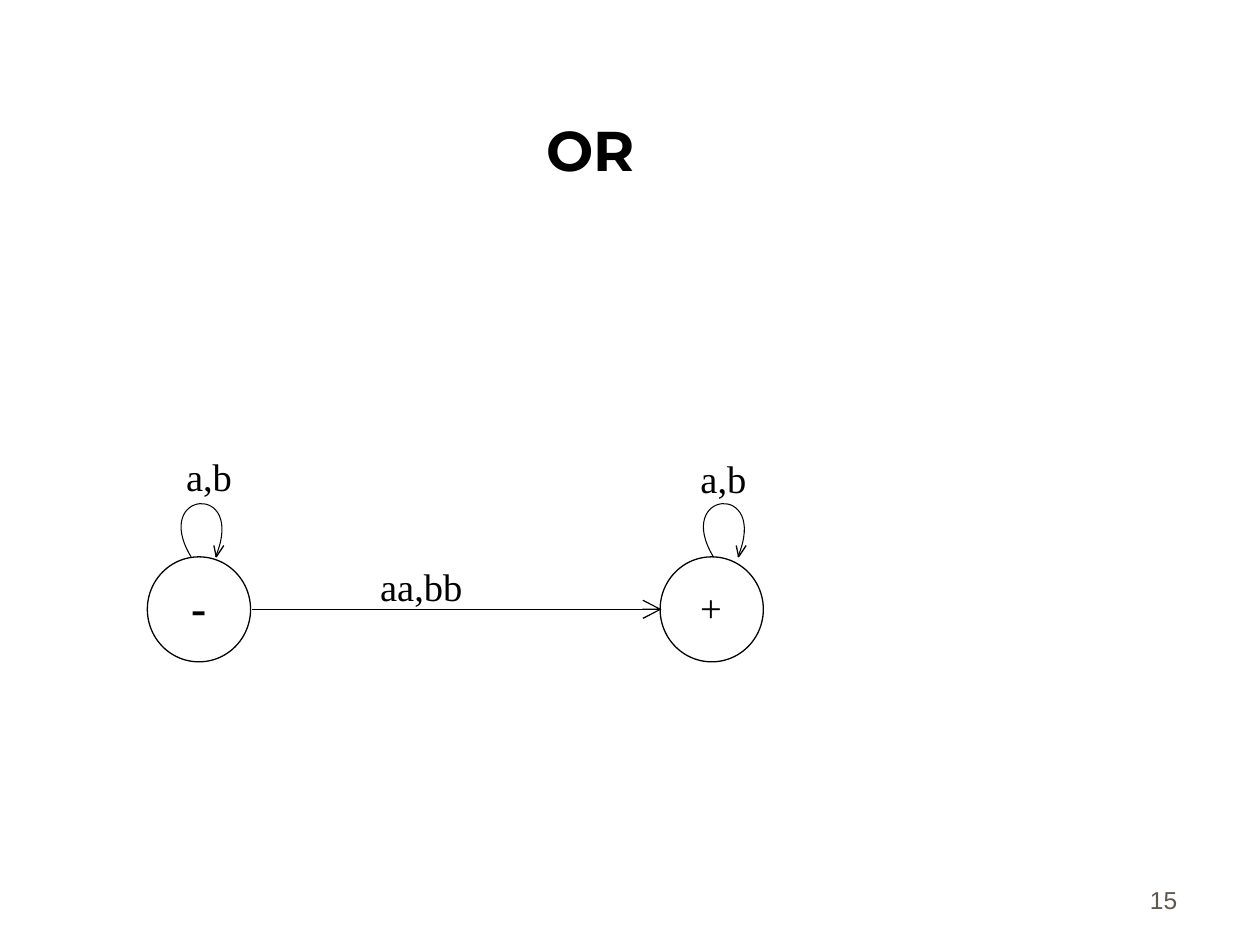
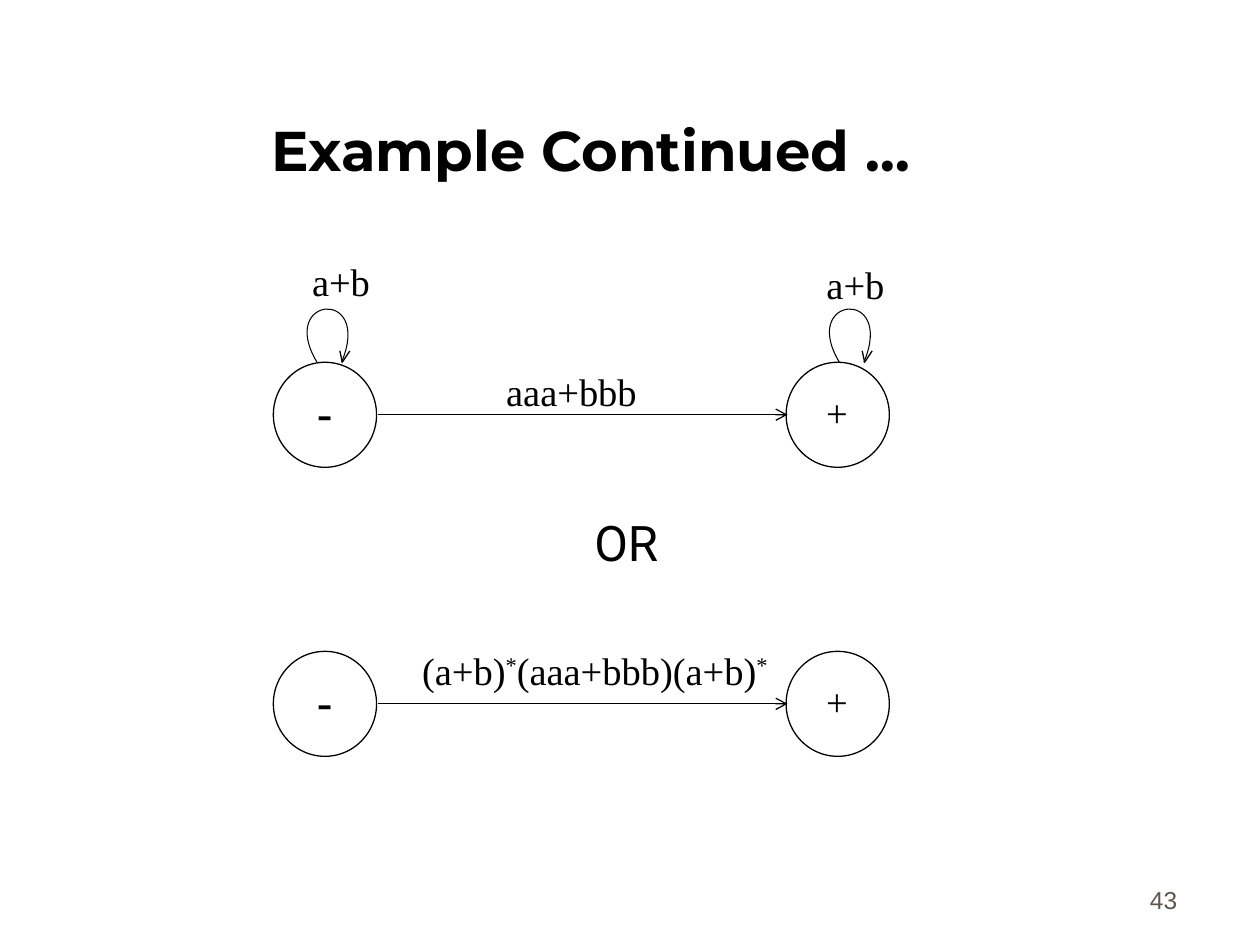
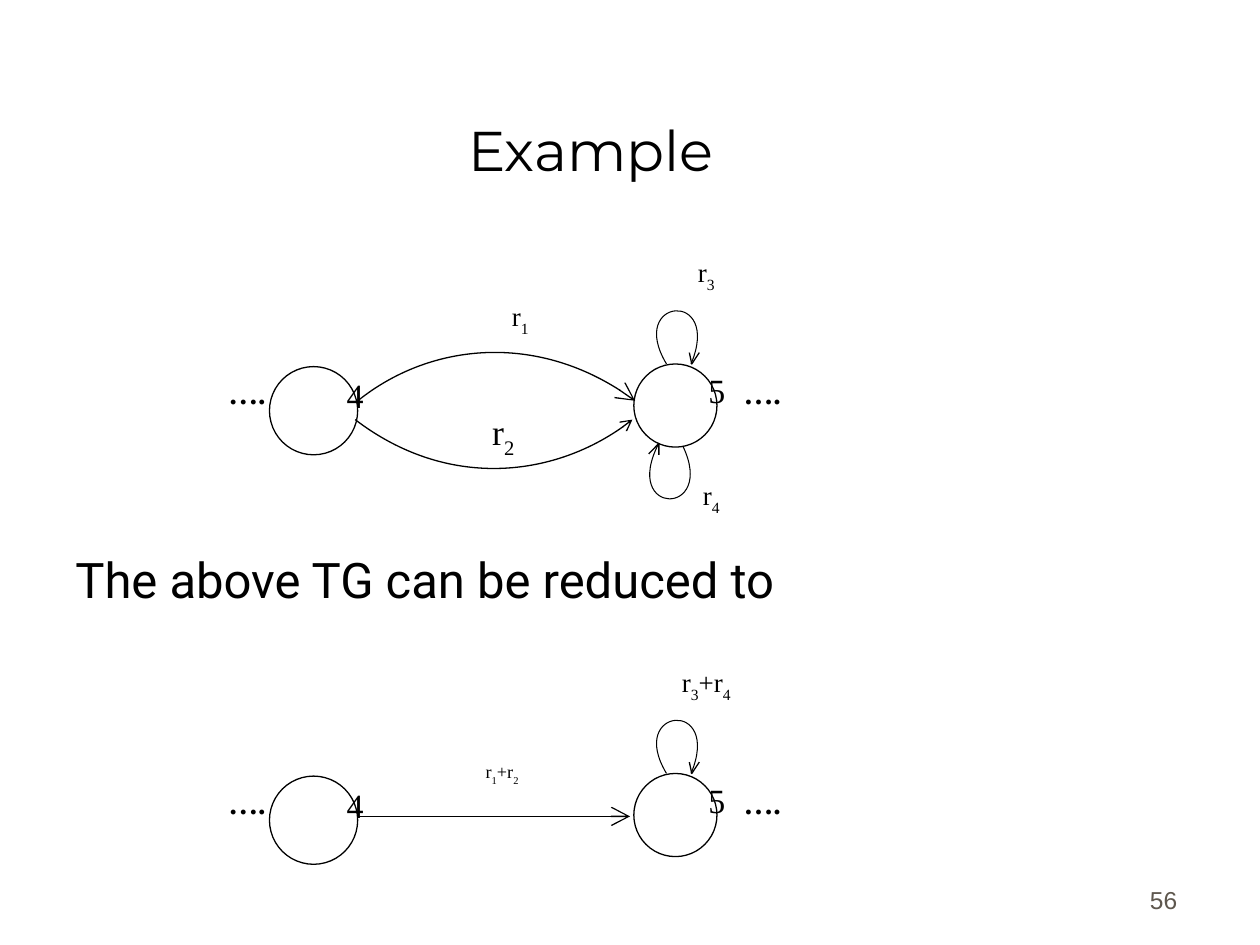
from dataclasses import dataclass
from typing import NamedTuple

from lxml.etree import SubElement
from pptx import Presentation
from pptx.dml.color import RGBColor
from pptx.enum.shapes import MSO_CONNECTOR, MSO_SHAPE
from pptx.enum.text import MSO_ANCHOR as Anchor, PP_ALIGN as Align
from pptx.oxml.ns import qn
from pptx.slide import Slide
from pptx.util import Pt

BLACK = RGBColor(0x00, 0x00, 0x00)
WHITE = RGBColor(0xFF, 0xFF, 0xFF)
PAGE_GREY = RGBColor(0x5E, 0x57, 0x4E)
SERIF, HEADING, BODY, PAGE = "Times New Roman", "Montserrat", "Roboto", "Arial"
SUPER, SUB = 30000, -30000


class Point(NamedTuple):
    x: float
    y: float

    def shifted(self, dx: float, dy: float) -> "Point":
        return Point(self.x + dx, self.y + dy)


class Box(NamedTuple):
    left: float
    top: float
    width: float
    height: float


class Piece(NamedTuple):
    text: str
    baseline: int = 0


@dataclass(frozen=True)
class Style:
    size: float
    font: str = SERIF
    color: RGBColor = BLACK
    bold: bool = False
    align: Align = Align.LEFT
    anchor: Anchor = Anchor.TOP
    spacing: float | None = None
    before: float = 0
    wrap: bool = True
    inset_top: float = 3.6


@dataclass(frozen=True)
class Loop:
    """Self-transition, measured from the point where it leaves its state."""
    controls: tuple[Point, Point]
    end: Point
    head: tuple[Point, Point, Point]


@dataclass(frozen=True)
class Automaton:
    """A start and a final state joined by one labelled transition."""
    left: float
    top: float
    edge_label: tuple[Piece, ...]
    label_at: Point
    label_width: float
    loop_label: str = ""
    arrow: str = "med"


LOOP_ABOVE = Loop((Point(-23, -38), Point(32, -43)), Point(14, 0),
                  (Point(13, -6.5), Point(14.4, 0), Point(18.7, -6.5)))
LOOP_BELOW = Loop((Point(19.5, 40.5), Point(-35.5, 40.5)), Point(-13.7, -1.5),
                  (Point(-19.5, 4.5), Point(-13.7, -1.5), Point(-13.7, 5)))

# Text styles
TITLE = Style(32, HEADING, bold=True, align=Align.CENTER, anchor=Anchor.BOTTOM)
LIGHT_TITLE = Style(32, HEADING, align=Align.CENTER, anchor=Anchor.BOTTOM)
PAGE_NUMBER = Style(14, PAGE, PAGE_GREY, align=Align.RIGHT, anchor=Anchor.BOTTOM, before=8.8)
LABEL = Style(22)
START_SIGN = Style(26, bold=True)
ALTERNATIVE = Style(28, BODY, align=Align.CENTER, wrap=False)
STATEMENT = Style(28, BODY, inset_top=166)
STATE_NAME = Style(19.4, align=Align.CENTER, spacing=0.8)
DOTS = Style(17.1, bold=True, align=Align.CENTER, spacing=0.8)
EXPRESSION = Style(15.4, align=Align.CENTER, spacing=0.8)
LARGE_EXPRESSION = Style(20.4, align=Align.CENTER, spacing=0.9)
SMALL_EXPRESSION = Style(10.4, align=Align.CENTER, spacing=0.8)


def add_text(slide: Slide, box: Box, pieces: tuple[Piece, ...] | str, style: Style) -> None:
    holder = slide.shapes.add_textbox(*map(Pt, box))
    frame = holder.text_frame
    frame.word_wrap = style.wrap
    frame.vertical_anchor = style.anchor
    frame.margin_top = Pt(style.inset_top)
    line = frame.paragraphs[0]
    line.alignment = style.align
    line.space_before = Pt(style.before)
    if style.spacing:
        line.line_spacing = style.spacing
    for piece in (Piece(pieces),) if isinstance(pieces, str) else pieces:
        run = line.add_run()
        run.text = piece.text
        run.font.name = style.font
        run.font.size = Pt(style.size)
        run.font.bold = style.bold
        run.font.color.rgb = style.color
        if piece.baseline:
            holder.element.xpath(".//a:rPr")[-1].set("baseline", str(piece.baseline))


def add_arrowhead(stroke, size: str) -> None:
    outline = stroke.element.xpath(".//a:ln")[0]
    SubElement(outline, qn("a:tailEnd"), type="arrow", w=size, len=size)


def add_circle(slide: Slide, box: Box) -> None:
    circle = slide.shapes.add_shape(MSO_SHAPE.OVAL, *map(Pt, box))
    circle.shadow.inherit = False
    circle.fill.solid()
    circle.fill.fore_color.rgb = WHITE
    circle.line.color.rgb = BLACK
    circle.line.width = Pt(0.75)


def add_edge(slide: Slide, start: Point, end: Point, size: str) -> None:
    edge = slide.shapes.add_connector(MSO_CONNECTOR.STRAIGHT, *map(Pt, start + end))
    edge.line.color.rgb = BLACK
    edge.line.width = Pt(0.75)
    add_arrowhead(edge, size)
    SubElement(edge.element.spPr, qn("a:effectLst"))


def add_polyline(slide: Slide, points: list[Point], width: float = 0.75):
    first, *rest = [(Pt(p.x), Pt(p.y)) for p in points]
    builder = slide.shapes.build_freeform(*first)
    builder.add_line_segments(rest, close=False)
    outline = builder.convert_to_shape()
    outline.shadow.inherit = False
    outline.fill.background()
    outline.line.color.rgb = BLACK
    outline.line.width = Pt(width)
    return outline


def add_curve(slide: Slide, points: list[Point], width: float = 0.75, arrow: str = "") -> None:
    """Draw a cubic curve through start, two control points and end."""
    curve = add_polyline(slide, points, width)
    route = curve.element.xpath(".//a:path")[0]
    segments = route.xpath("a:lnTo")
    cubic = SubElement(route, qn("a:cubicBezTo"))
    for segment in segments:
        cubic.append(segment[0])
        route.remove(segment)
    if arrow:
        add_arrowhead(curve, arrow)


def add_loop(slide: Slide, foot: Point, loop: Loop) -> None:
    add_curve(slide, [foot] + [foot.shifted(*p) for p in (*loop.controls, loop.end)], 0.6)
    add_polyline(slide, [foot.shifted(*p) for p in loop.head])


def add_automaton(slide: Slide, spec_: Automaton) -> None:
    origin = Point(spec_.left, spec_.top)

    def label(dx: float, dy: float, text, style: Style = LABEL, width: float = 70.5) -> None:
        add_text(slide, Box(*origin.shifted(dx, dy), width, 48), text, style)

    for dx in (0, 293):
        add_circle(slide, Box(*origin.shifted(dx, 0), 59, 60))
    add_edge(slide, origin.shifted(60, 30), origin.shifted(293.8, 30), spec_.arrow)
    label(*spec_.label_at, spec_.edge_label, width=spec_.label_width)
    label(18, 9, "-", START_SIGN)
    label(15.8 + 293, 11.8, "+")
    if spec_.loop_label:
        for foot_x, label_x, label_y in ((25, 15, -63), (323.5, 309, -61.5)):
            add_loop(slide, origin.shifted(foot_x, 0), LOOP_ABOVE)
            label(label_x, label_y, spec_.loop_label)


def add_fragment(slide: Slide, top: float, loop_label: tuple[Piece, ...]) -> None:
    """Draw states 4 and 5 of a larger graph, with the loop above state 5."""
    add_circle(slide, Box(154, top + 1.5, 50.4, 50.4))
    add_circle(slide, Box(362.2, top, 47.5, 47.5))
    add_text(slide, Box(166.3, top + 7.2, 73.4, 30.2), "4", STATE_NAME)
    add_text(slide, Box(373, top + 4.3, 73.4, 30.2), "5", STATE_NAME)
    for left in (113.8, 408.2):
        add_text(slide, Box(left, top + 6.5, 54.7, 30.2), "….", DOTS)
    add_loop(slide, Point(380.9, top), LOOP_ABOVE)
    add_text(slide, Box(370.8, top - 64, 65.5, 30.2), loop_label, EXPRESSION)


def r(index: int, prefix: str = "") -> tuple[Piece, Piece]:
    return Piece(prefix + "r"), Piece(str(index), SUB)


def new_slide(deck, title: str, page: int, style: Style = TITLE) -> Slide:
    slide = deck.slides.add_slide(deck.slide_layouts[6])
    add_text(slide, Box(530, 490.3, 149.8, 36), str(page), PAGE_NUMBER)
    add_text(slide, Box(31.7, 18, 612, 90), title, style)
    return slide


def main() -> None:
    deck = Presentation()
    deck.slide_width, deck.slide_height = Pt(720), Pt(540)

    # Two-letter transition
    slide = new_slide(deck, "OR", 15)
    add_automaton(slide, Automaton(84.2, 318.2, (Piece("aa,bb"),), Point(126, 0), 70.5,
                                   "a,b", "lg"))

    # Loops, or one regular expression
    slide = new_slide(deck, "Example Continued …", 43)
    add_automaton(slide, Automaton(156.2, 207, (Piece("aaa+bbb"),), Point(126, 0), 90, "a+b"))
    starred = (Piece("(a+b)"), Piece("*", SUPER), Piece("(aaa+bbb)(a+b)"), Piece("*", SUPER))
    add_automaton(slide, Automaton(156.2, 372.2, starred, Point(78, -6.2), 216))
    add_text(slide, Box(331.2, 289.4, 53.3, 41), "OR", ALTERNATIVE)

    # Parallel transitions and their reduced form
    slide = new_slide(deck, "Example", 56, LIGHT_TITLE)
    add_fragment(slide, 208, r(3))
    add_curve(slide, [Point(204.5, 229), Point(244.8, 196.6), Point(310.3, 189.4),
                      Point(362.9, 229)], arrow="lg")
    add_curve(slide, [Point(203, 239.8), Point(255.6, 280), Point(321, 272.2),
                      Point(361.4, 239.8)], arrow="med")
    add_text(slide, Box(270, 169.2, 54.7, 30.2), r(1), EXPRESSION)
    add_text(slide, Box(270, 230.4, 35.3, 36), r(2), LARGE_EXPRESSION)
    add_loop(slide, Point(390.2, 254.9), LOOP_BELOW)
    add_text(slide, Box(373.7, 271.4, 65.5, 30.2), r(4), EXPRESSION)

    add_text(slide, Box(36, 148.3, 643.7, 328.3), "The above TG can be reduced to", STATEMENT)

    add_fragment(slide, 442, r(3) + r(4, "+"))
    add_edge(slide, Point(203.8, 466.5), Point(360, 466.5), "lg")
    add_text(slide, Box(244.8, 432, 84.2, 23.8), r(1) + r(2, "+"), SMALL_EXPRESSION)

    deck.save("out.pptx")


if __name__ == "__main__":
    main()
